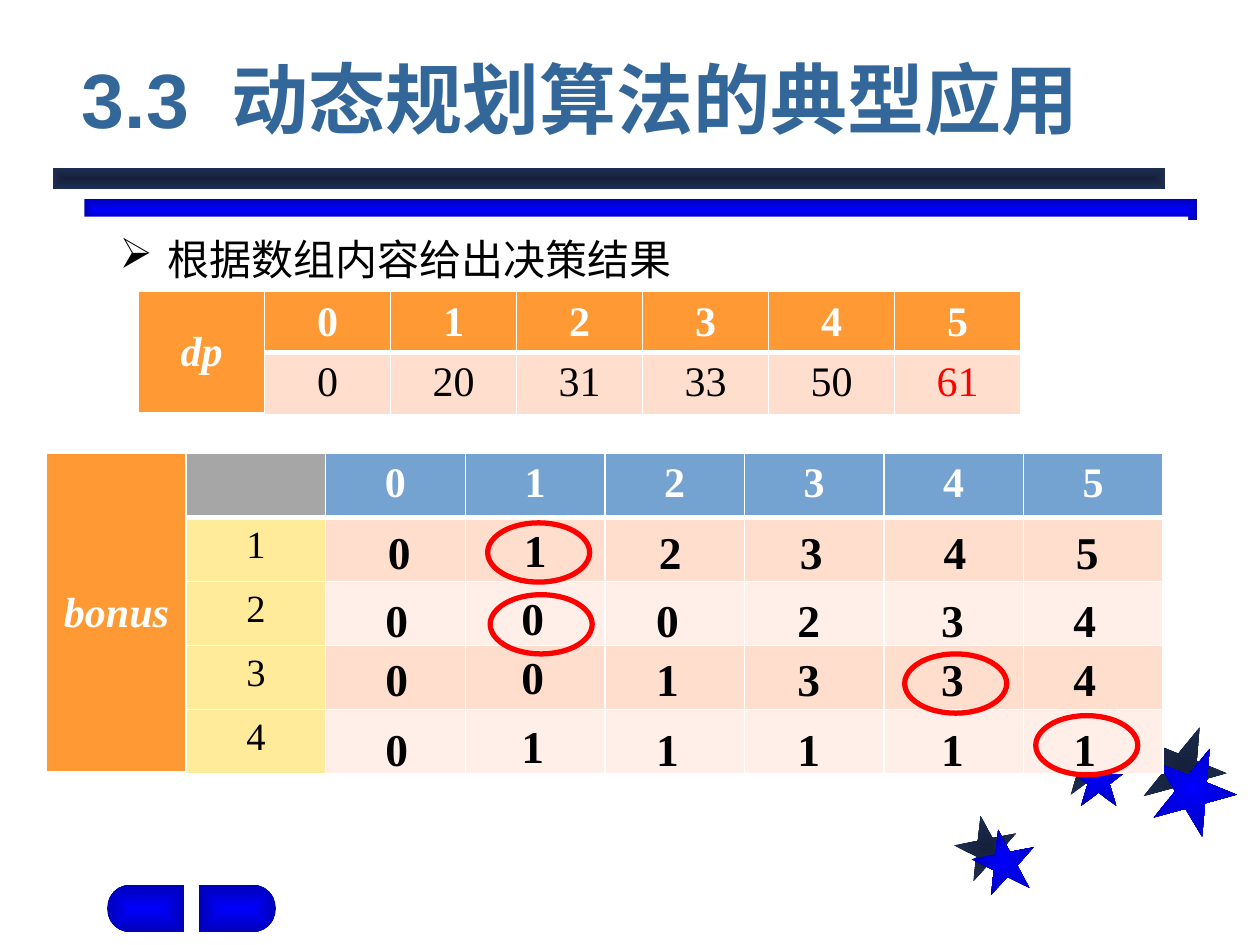
from dataclasses import dataclass
from math import cos, pi, sin

from lxml import etree
from pptx import Presentation
from pptx.dml.color import RGBColor
from pptx.enum.shapes import MSO_SHAPE
from pptx.enum.text import MSO_ANCHOR, MSO_AUTO_SIZE, PP_ALIGN
from pptx.oxml.ns import qn
from pptx.util import Inches, Pt

RECT, STAR, OVAL = MSO_SHAPE.RECTANGLE, MSO_SHAPE.STAR_5_POINT, MSO_SHAPE.OVAL
TOP, MIDDLE, BOTTOM = MSO_ANCHOR.TOP, MSO_ANCHOR.MIDDLE, MSO_ANCHOR.BOTTOM
LEFT, CENTER = PP_ALIGN.LEFT, PP_ALIGN.CENTER


@dataclass(frozen=True)
class Theme:
    navy: tuple = ("15213B", "1E2E53")
    blue: tuple = ("0000FF", "0000B6")
    title: str = "336699"
    white: str = "FFFFFF"
    black: str = "000000"
    red: str = "FF0000"
    orange: str = "FF9933"
    sky: str = "75A3D1"
    gray: str = "A6A6A6"
    yellow: str = "FFEB99"
    bands: tuple = ("FFDECE", "FFEFE8")
    sans: str = "Arial"
    serif: str = "Times New Roman"
    head: int = 44
    digit: int = 26
    body: int = 24
    index: int = 22


T = Theme()


def box(*sides):
    return [Inches(side) for side in sides]


def style(para, size, color, bold=False, italic=False, font=T.serif):
    for run in para.runs:
        face = run.font
        face.name, face.size = font, Pt(size)
        face.bold, face.italic = bold, italic
        face.color.rgb = RGBColor.from_string(color)


def glow(shape, colors, kind="shape"):
    """Fill from the centre outwards, without line or shadow."""
    shape.shadow.inherit = False
    shape.line.fill.background()
    shape.fill.gradient()
    for stop, color in zip(shape.fill.gradient_stops, colors):
        stop.color.rgb = RGBColor.from_string(color)
    grad = shape._element.spPr.find(qn("a:gradFill"))
    grad.remove(grad.find(qn("a:lin")))
    path = etree.SubElement(grad, qn("a:path"), path=kind)
    etree.SubElement(path, qn("a:fillToRect"), l="50000", t="50000", r="50000", b="50000")


def add_stars(shapes):
    navy = [(7.58, 6.47, 0.5, -11), (8.41, 5.85, 0.46, 0), (9.06, 5.75, 0.67, 22)]
    blue = [(7.72, 6.58, 0.5, -11), (8.49, 5.94, 0.46, 0), (9.14, 5.92, 0.67, 22)]
    for colors, stars in ((T.navy, navy), (T.blue, blue)):
        for left, top, size, turn in stars:
            star = shapes.add_shape(STAR, *box(left, top, size, size))
            star.rotation = turn
            glow(star, colors)


def add_bars(shapes, left, top, width, height):
    for step, colors in ((1, T.blue), (0, T.navy)):
        bar = shapes.add_shape(RECT, *box(left + 0.25 * step, top + 0.25 * step, width, height))
        glow(bar, colors)


def add_pill(shapes, flat, top, width, height, side):
    """Half pill: straight edge at flat, round end towards side (-1 or 1)."""
    radius = height / 2
    hub = flat + side * (width - radius)
    angles = [pi * step / 12 - pi / 2 for step in range(13)]
    curve = [(hub + side * radius * cos(a), top + radius + radius * sin(a)) for a in angles]
    points = [box(*point) for point in curve + [(flat, top + height)]]
    build = shapes.build_freeform(*box(flat, top), scale=1.0)
    build.add_line_segments(points, close=True)
    glow(build.convert_to_shape(), T.blue, "rect")


def set_title(title, left, top, width, height):
    title.left, title.top, title.width, title.height = box(left, top, width, height)
    frame = title.text_frame
    frame.auto_size, frame.vertical_anchor = MSO_AUTO_SIZE.NONE, BOTTOM
    para = frame.paragraphs[0]
    para.alignment = LEFT
    for part in ("3.3", " ", "动态规划算法的典型应用"):
        para.add_run().text = part
    style(para, T.head, T.title, bold=True, font=T.sans)
    para.runs[1]._r.get_or_add_rPr().set("spc", "1200")


def add_point(shapes, left, top, width, height):
    shape = shapes.add_shape(RECT, *box(left, top, width, height))
    shape.shadow.inherit = False
    shape.fill.solid()
    shape.fill.fore_color.rgb = RGBColor.from_string(T.white)
    shape.line.fill.background()
    frame = shape.text_frame
    frame.word_wrap, frame.vertical_anchor = True, TOP
    frame.text = "根据数组内容给出决策结果"
    para = frame.paragraphs[0]
    para.alignment, para.line_spacing = LEFT, 1.2
    props = para._p.get_or_add_pPr()
    props.set("marL", str(Inches(0.65)))
    props.set("indent", str(Inches(-0.38)))
    etree.SubElement(props, qn("a:buChar"), char="➢")
    style(para, T.body, T.black)


def add_edges(cell, top, bottom):
    props = cell._tc.get_or_add_tcPr()
    for place, (side, size) in enumerate(zip("LRTB", (1, 1, top, bottom))):
        line = etree.Element(qn(f"a:ln{side}"), w=str(Pt(size)))
        fill = etree.SubElement(line, qn("a:solidFill"))
        etree.SubElement(fill, qn("a:srgbClr"), val=T.white)
        props.insert(place, line)


def set_cell(cell, text, fill, size, color, bold=False, italic=False, anchor=TOP):
    cell.fill.solid()
    cell.fill.fore_color.rgb = RGBColor.from_string(fill)
    cell.vertical_anchor = anchor
    cell.text = text
    para = cell.text_frame.paragraphs[0]
    para.alignment = CENTER
    style(para, size, color, bold, italic)


def add_grid(shapes, name, rows, cols, left, top, width, height):
    """Table with white edges and a name cell that spans its first column."""
    grid = shapes.add_table(rows, cols, *box(left, top, width, height)).table
    for col in grid.columns:
        col.width = Inches(width / cols)
    for row in grid.rows:
        row.height = Inches(height / rows)
    for row in range(rows):
        for col in range(cols):
            thick = row == 0 or col == 0 and row == rows - 1
            add_edges(grid.cell(row, col), 3 if row == 1 and col else 1, 3 if thick else 1)
    grid.cell(0, 0).merge(grid.cell(rows - 1, 0))
    set_cell(grid.cell(0, 0), name, T.orange, T.body, T.white, True, True, MIDDLE)
    return grid


def add_dp(shapes, *area):
    values = [0, 20, 31, 33, 50, 61]
    grid = add_grid(shapes, "dp", 2, len(values) + 1, *area)
    for col, value in enumerate(values):
        color = T.red if value == max(values) else T.black
        set_cell(grid.cell(0, col + 1), str(col), T.orange, T.body, T.white, True, anchor=MIDDLE)
        set_cell(grid.cell(1, col + 1), str(value), T.bands[0], T.body, color)


def add_bonus(shapes, *area):
    grid = add_grid(shapes, "bonus", 5, 8, *area)
    set_cell(grid.cell(0, 1), "", T.gray, T.body, T.white)
    for col in range(6):
        set_cell(grid.cell(0, col + 2), str(col), T.sky, T.body, T.white, True)
    for row in range(1, 5):
        set_cell(grid.cell(row, 1), str(row), T.yellow, T.index, T.black)
        for col in range(2, 8):
            set_cell(grid.cell(row, col), "", T.bands[(row - 1) % 2], T.index, T.black)


def add_digits(shapes, left, top):
    steps = (0, 1.08, 2.15, 3.27, 4.41, 5.46)
    rows = [(0.02, 0, "012345"), (0, 0.54, "000234"), (0, 1.01, "001334"), (0, 1.56, "011111")]
    for shift, down, digits in rows:
        for col, digit in enumerate(digits):
            lift = 0.02 if col == 1 else 0
            label = shapes.add_textbox(
                *box(left + shift + steps[col], top + down - lift, 0.38, 0.54))
            frame = label.text_frame
            frame.word_wrap = False
            frame.text = digit
            style(frame.paragraphs[0], T.digit, T.black, bold=True)


def add_rings(shapes, width, height):
    for left, top in ((8.22, 5.68), (7.18, 5.19), (3.89, 4.72), (3.87, 4.15)):
        ring = shapes.add_shape(OVAL, *box(left, top, width, height))
        ring.shadow.inherit = False
        ring.fill.background()
        ring.line.color.rgb = RGBColor.from_string(T.red)
        ring.line.width = Pt(3)


def main():
    deck = Presentation()
    deck.slide_width, deck.slide_height = box(10, 7.5)
    slide = deck.slides.add_slide(deck.slide_layouts[5])
    shapes = slide.shapes
    add_stars(shapes)
    add_bars(shapes, 0.42, 1.33, 8.83, 0.17)
    add_pill(shapes, 1.46, 7.02, 0.61, 0.38, -1)
    add_pill(shapes, 1.58, 7.02, 0.61, 0.38, 1)
    set_title(shapes.title, 0.55, 0.27, 8.5, 0.92)
    add_point(shapes, 0.58, 1.72, 8.85, 0.58)
    add_dp(shapes, 1.1, 2.31, 7, 0.98)
    add_bonus(shapes, 0.37, 3.6, 8.86, 2.54)
    add_digits(shapes, 2.96, 4.11)
    add_rings(shapes, 0.81, 0.47)
    deck.save("out.pptx")


if __name__ == "__main__":
    main()
